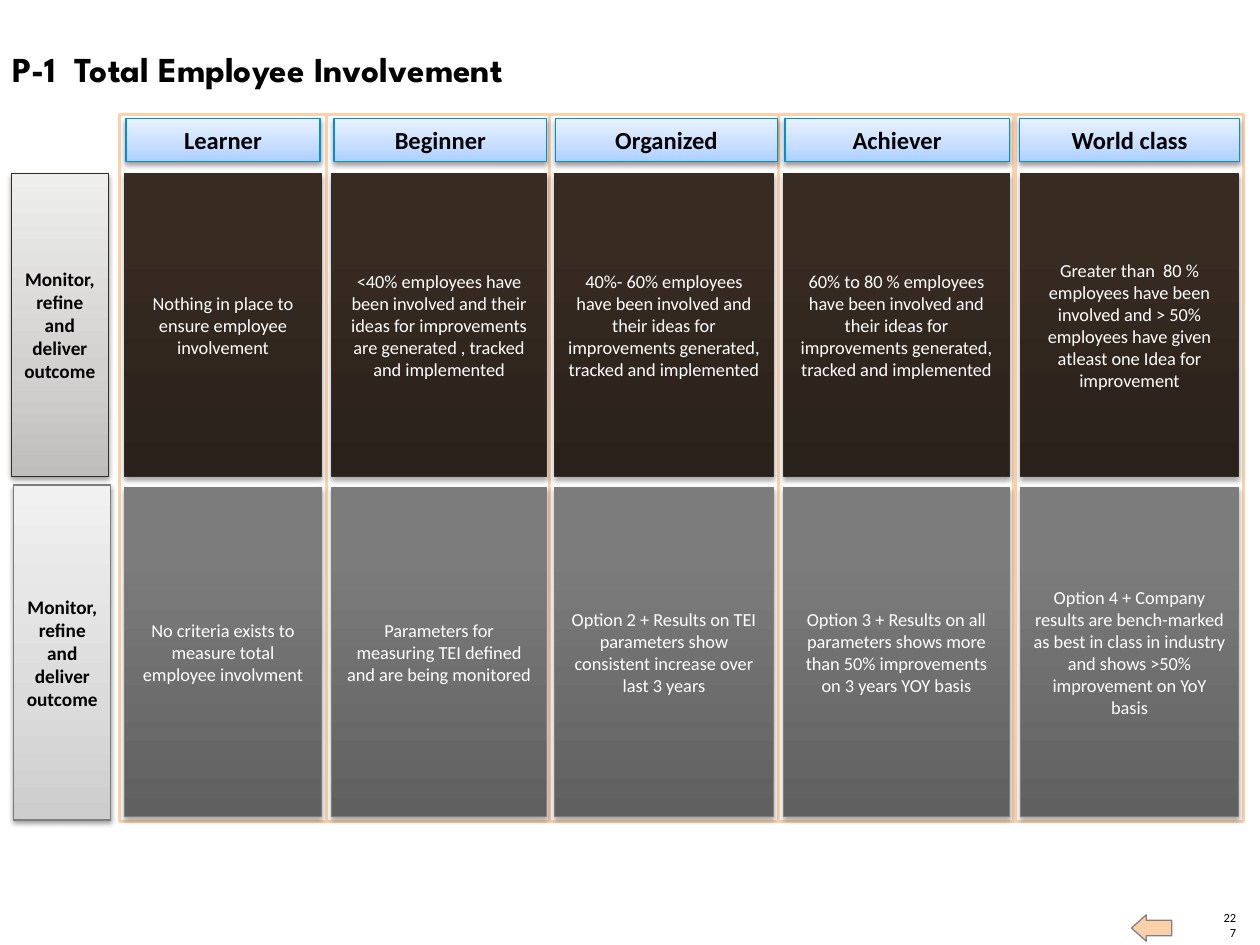
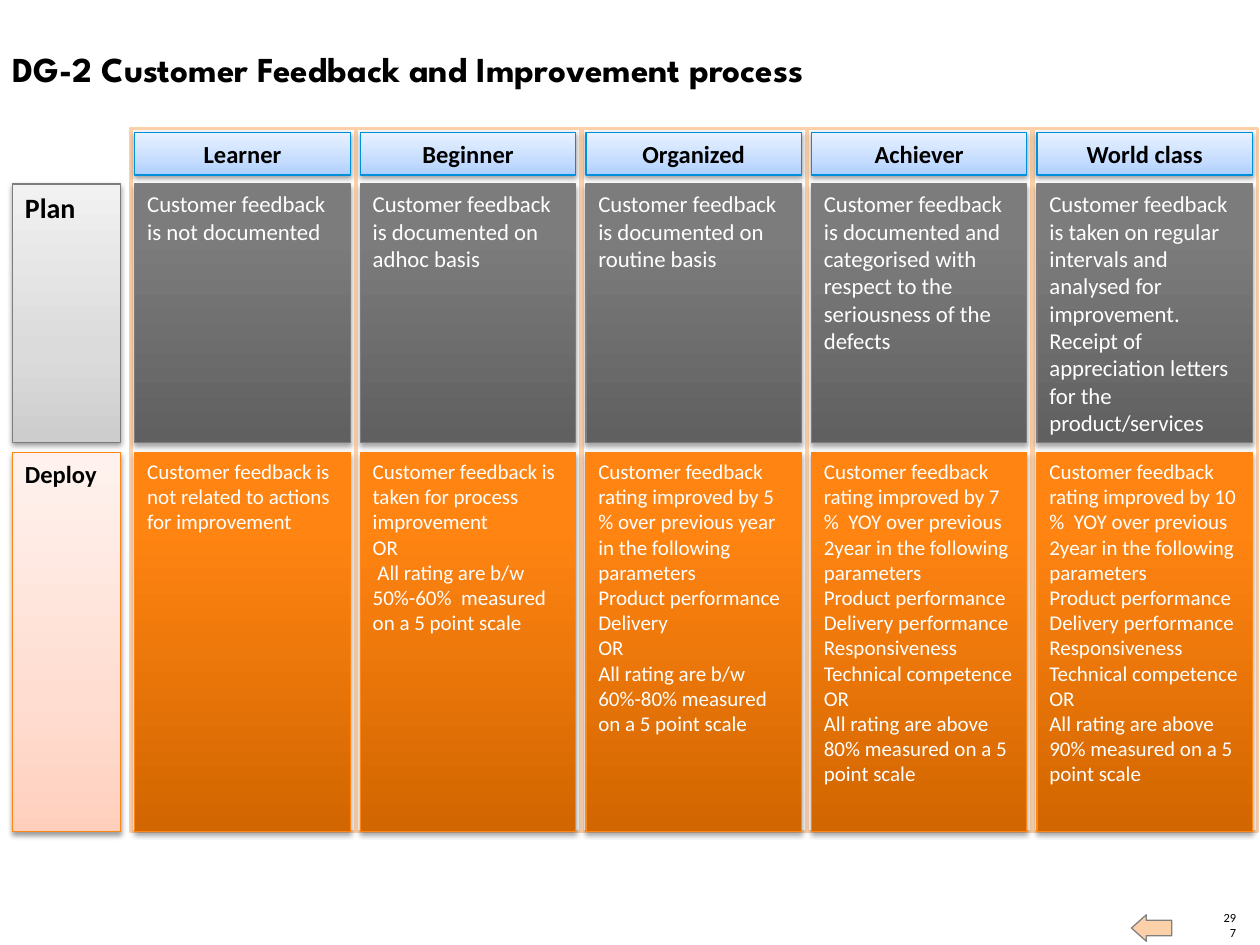
from copy import deepcopy
from dataclasses import dataclass

from lxml import etree
from pptx import Presentation
from pptx.dml.color import RGBColor
from pptx.enum.shapes import MSO_SHAPE
from pptx.enum.text import MSO_ANCHOR, PP_ALIGN
from pptx.oxml.ns import qn
from pptx.util import Emu, Pt

PX = 9144  # 100 px to the inch
RECT, ARROW = MSO_SHAPE.RECTANGLE, MSO_SHAPE.RIGHT_ARROW
TOP, MIDDLE, BOTTOM = MSO_ANCHOR.TOP, MSO_ANCHOR.MIDDLE, MSO_ANCHOR.BOTTOM
LEFT, CENTER, RIGHT = PP_ALIGN.LEFT, PP_ALIGN.CENTER, PP_ALIGN.RIGHT


@dataclass(frozen=True)
class Look:
    """Gradient stops from bottom to top, outline, text colour and shadow."""
    stops: tuple
    line: str
    ink: str = "000000"
    bold: bool = True
    shadow: tuple = (38, 1.6)  # opacity in percent, distance in points


def dark_look(stops, line):
    return Look(stops, line, "FFFFFF", False, (35, 1.8))


class Theme:
    body, heading = "Calibri", "League Spartan"
    black, white, peach, gray = "000000", "FFFFFF", "FCD1AA", "808080"
    title_size, header_size, page_size = 20, 14, 7.1
    thin, frame_line, blur = 0.75, 2, 3.1
    header = Look(((0, "AECFFF"), (35, "C6DDFF"), (100, "E9F2FF")), "008FDC")
    brown_label = Look(((0, "C0BEBC"), (35, "D3D1D0"), (100, "EEEEED")), "352C25")
    gray_label = Look(((0, "CDCDCD"), (35, "DBDBDB"), (100, "F1F1F1")), "7D7D7D")
    orange_label = Look(((0, "FFCFBD"), (35, "FFDDD1"), (100, "FFF2EE")), "FF8615")
    brown = dark_look(((0, "2A211B"), (80, "372B22"), (100, "372B22")), "352C25")
    gray_cell = dark_look(((0, "606060"), (80, "7C7C7C"), (100, "7D7D7D")), "7D7D7D")
    orange = dark_look(((0, "D26600"), (80, "FF8412"), (100, "FF8514")), "FF8615")


class Deck:
    def __init__(self, theme):
        self.theme = theme
        self.prs = Presentation()
        self.prs.slide_width, self.prs.slide_height = Emu(1000 * PX), Emu(750 * PX)
        self.s = None

    def new_slide(self, title, page):
        t = self.theme
        self.s = self.prs.slides.add_slide(self.prs.slide_layouts[6])
        self.text_box((0, 33, 860, 44), title, t.title_size, font=t.heading, bold=True)
        tf = self.text_box((969, 734, 12, 12), page, t.page_size,
                           align=RIGHT, anchor=BOTTOM)
        tf.margin_left = tf.margin_right = tf.margin_top = tf.margin_bottom = 0
        sp = self.shape(ARROW, (898, 726, 32, 21), t.gray, t.thin, t.peach)
        sp.adjustments[0], sp.adjustments[1] = 0.59, 0.56
        sp.rotation = 180

    def set_text(self, tf, text, size, font=None, color=None, bold=False,
                 align=LEFT, anchor=TOP):
        tf.word_wrap = True
        tf.vertical_anchor = anchor
        tf.text = text
        for p in tf.paragraphs:
            p.alignment = align
            for r in p.runs:
                r.font.name = font or self.theme.body
                r.font.size = Pt(size)
                r.font.bold = bold
                r.font.color.rgb = RGBColor.from_string(color or self.theme.black)

    def text_box(self, box, text, size, **style):
        tf = self.s.shapes.add_textbox(*(Emu(v * PX) for v in box)).text_frame
        self.set_text(tf, text, size, **style)
        return tf

    def shape(self, kind, box, line, width, fill=None):
        sp = self.s.shapes.add_shape(kind, *(Emu(v * PX) for v in box))
        sp.shadow.inherit = False
        sp.line.color.rgb = RGBColor.from_string(line)
        sp.line.width = Pt(width)
        if fill:
            sp.fill.solid()
            sp.fill.fore_color.rgb = RGBColor.from_string(fill)
        return sp

    def frame(self, box):
        self.shape(RECT, box, self.theme.peach, self.theme.frame_line, self.theme.white)

    def gradient(self, sp, stops):
        sp.fill.gradient()
        sp.fill.gradient_angle = 90
        gs_list = sp._element.spPr.find(qn("a:gradFill")).find(qn("a:gsLst"))
        gs_list.append(deepcopy(gs_list[0]))
        for stop, (position, color) in zip(sp.fill.gradient_stops, stops):
            stop.position = position / 100
            stop.color.rgb = RGBColor.from_string(color)

    def drop_shadow(self, sp, opacity, distance):
        effects = sp._element.spPr.find(qn("a:effectLst"))
        shadow = etree.SubElement(
            effects, qn("a:outerShdw"), blurRad=str(Pt(self.theme.blur)),
            dist=str(Pt(distance)), dir="5400000", rotWithShape="0")
        color = etree.SubElement(shadow, qn("a:srgbClr"), val=self.theme.black)
        etree.SubElement(color, qn("a:alpha"), val=str(opacity * 1000))

    def tile(self, box, look, text, size, align=CENTER, anchor=MIDDLE):
        sp = self.shape(RECT, box, look.line, self.theme.thin)
        self.gradient(sp, look.stops)
        self.drop_shadow(sp, *look.shadow)
        self.set_text(sp.text_frame, text, size, color=look.ink, bold=look.bold,
                      align=align, anchor=anchor)

    def matrix(self, frames, cells, headers, top, height, rows, **style):
        """Column frames with a header each, then rows of a label and its cells."""
        for x, w in frames:
            self.frame((x, top, w, height))
        for (x, w), level in zip(headers, LEVELS):
            self.tile((x, top + 3, w, 34), self.theme.header, level,
                      self.theme.header_size)
        for row in rows:
            self.tile(row.label_box, row.label_look, row.label, row.label_size, **style)
            for (x, w), text in zip(cells, row.texts):
                self.tile((x, row.top, w, row.height), row.look, text, row.size, **style)


@dataclass
class Row:
    label: str
    label_box: tuple
    label_look: Look
    label_size: float
    top: int
    height: int
    look: Look
    size: float
    texts: list


LEVELS = ["Learner", "Beginner", "Organized", "Achiever", "World class"]
OUTCOME = "Monitor, refine and deliver outcome"


def involved(share):
    return (f"{share} employees have been involved and their ideas for "
            "improvements generated, tracked and implemented")


def rating_improved(gain, parameters, rating):
    return "\n".join([
        f"Customer feedback rating improved by {gain} in the following parameters",
        "Product performance", *parameters, "OR",
        f"All rating are {rating} measured on a 5 point scale"])


def involvement_slide(deck):
    t = deck.theme
    deck.new_slide("P-1  Total Employee Involvement", "227")
    frames = [(95, 164), (259, 179), (436, 182), (618, 187), (806, 181)]
    cells = [(x + 4, w - 8) for x, w in frames]
    headers = [(100, 154), (265, 169), (441, 176), (623, 178), (809, 175)]
    involvement = [
        "Nothing in place to ensure employee involvement",
        "<40% employees have been involved and their ideas for improvements "
        "are generated , tracked and implemented",
        involved("40%- 60%"),
        involved("60% to 80 %"),
        "Greater than  80 % employees have been involved and > 50% employees "
        "have given atleast one Idea for improvement"]
    results = [
        "No criteria exists to measure total employee involvment",
        "Parameters for measuring TEI defined and are being monitored",
        "Option 2 + Results on TEI parameters show consistent increase over last 3 years",
        "Option 3 + Results on all parameters shows more than 50% improvements "
        "on 3 years YOY basis",
        "Option 4 + Company results are bench-marked as best in class in industry "
        "and shows >50% improvement on YoY basis"]
    deck.matrix(frames, cells, headers, 91, 561, [
        Row(OUTCOME, (9, 138, 77, 240), t.brown_label, 11,
            138, 240, t.brown, 10.5, involvement),
        Row(OUTCOME, (11, 385, 77, 266), t.gray_label, 11,
            387, 261, t.gray_cell, 10.5, results)])


def feedback_slide(deck):
    t = deck.theme
    deck.new_slide("DG-2 Customer Feedback and Improvement process", "297")
    frames = [(104 + 179 * i, 178) for i in range(len(LEVELS))]
    cells = [(x + 3, 171) for x, _ in frames]
    plan = ["Customer feedback is " + rest for rest in (
        "not documented",
        "documented on adhoc basis",
        "documented on routine basis",
        "documented and categorised with respect to the seriousness of the defects",
        "taken on regular intervals and analysed for improvement.\n"
        "Receipt of appreciation letters for the product/services")]
    parameters = ["Delivery performance", "Responsiveness", "Technical competence"]
    deploy = [
        "Customer feedback is not related to actions for improvement",
        "Customer feedback is taken for process improvement\nOR\n"
        " All rating are b/w 50%-60%  measured on a 5 point scale",
        rating_improved("5 % over previous year", ["Delivery"], "b/w 60%-80%"),
        rating_improved("7 %  YOY over previous 2year", parameters, "above 80%"),
        rating_improved("10 %  YOY over previous 2year", parameters, "above 90%")]
    deck.matrix(frames, cells, cells, 102, 558, [
        Row("Plan", (10, 146, 86, 205), t.gray_label, 16,
            146, 205, t.gray_cell, 13, plan),
        Row("Deploy", (10, 359, 86, 301), t.orange_label, 14,
            359, 301, t.orange, 12, deploy)], align=LEFT, anchor=TOP)


def main():
    deck = Deck(Theme())
    involvement_slide(deck)
    feedback_slide(deck)
    deck.prs.save("out.pptx")


if __name__ == "__main__":
    main()
